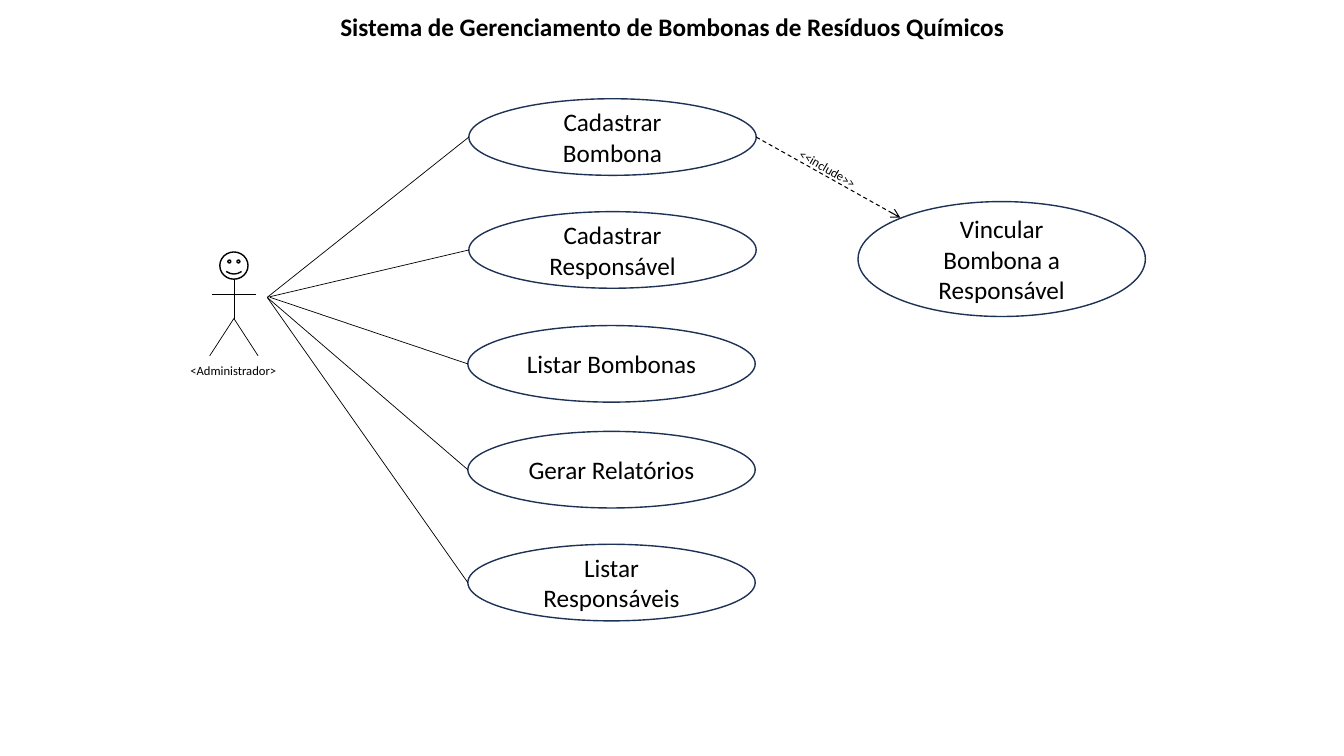
"""Build a use case diagram slide for a chemical waste container system."""
from pptx import Presentation
from pptx.dml.color import RGBColor
from pptx.enum import dml, shapes, text
from pptx.oxml.ns import qn
from pptx.util import Inches, Pt
from lxml import etree

BLACK = RGBColor(0x00, 0x00, 0x00)
WHITE = RGBColor(0xFF, 0xFF, 0xFF)
NAVY = RGBColor(0x1E, 0x32, 0x56)


def add_line(container, start, end, width=0.5):
    connector = container.add_connector(
        shapes.MSO_CONNECTOR.STRAIGHT, *map(Inches, (*start, *end)))
    connector.line.color.rgb = BLACK
    connector.line.width = Pt(width)
    etree.SubElement(connector._element.spPr, qn("a:effectLst"))
    return connector


def write(shape, wording, size, alignment, anchor, bold=False):
    frame = shape.text_frame
    frame.text = wording
    frame.vertical_anchor = anchor
    paragraph = frame.paragraphs[0]
    paragraph.alignment = alignment
    paragraph.font.name = "Calibri"
    paragraph.font.size = Pt(size)
    paragraph.font.bold = bold
    paragraph.font.color.rgb = BLACK


presentation = Presentation()
presentation.slide_width = Inches(13.33)
presentation.slide_height = Inches(7.5)
slide = presentation.slides.add_slide(presentation.slide_layouts[5])

title = slide.shapes.title
title.left, title.top, title.width, title.height = map(Inches, (3.18, 0.06, 6.98, 0.4))
write(title, "Sistema de Gerenciamento de Bombonas de Resíduos Químicos", 18,
      text.PP_ALIGN.CENTER, text.MSO_ANCHOR.TOP, bold=True)
title.text_frame.auto_size = text.MSO_AUTO_SIZE.NONE

actor = slide.shapes.add_group_shape()
neck, hip = (2.32, 2.78), (2.32, 3.16)
for start, end in [(hip, (2.08, 3.53)), (hip, (2.56, 3.53)), (neck, hip),
                   ((2.1, 2.92), (2.54, 2.92))]:
    add_line(actor.shapes, start, end)
head = actor.shapes.add_shape(
    shapes.MSO_SHAPE.SMILEY_FACE, *map(Inches, (2.18, 2.5, 0.28, 0.27)))
head.shadow.inherit = False
head.fill.solid()
head.fill.fore_color.rgb = WHITE
head.line.color.rgb = BLACK
head.line.width = Pt(1)

use_cases = [
    ("Cadastrar Bombona", 4.65, 0.98, 0.76),
    ("Cadastrar Responsável", 4.65, 2.1, 0.76),
    ("Listar Bombonas", 4.64, 3.23, 0.76),
    ("Gerar Relatórios", 4.64, 4.28, 0.76),
    ("Listar Responsáveis", 4.64, 5.4, 0.76),
    ("Vincular Bombona a Responsável", 8.51, 2, 1.14),
]
for wording, left, top, height in use_cases:
    ellipse = slide.shapes.add_shape(
        shapes.MSO_SHAPE.OVAL, *map(Inches, (left, top, 2.85, height)))
    ellipse.shadow.inherit = False
    ellipse.fill.solid()
    ellipse.fill.fore_color.rgb = WHITE
    ellipse.line.color.rgb = NAVY
    ellipse.line.width = Pt(1)
    write(ellipse, wording, 18, text.PP_ALIGN.CENTER, text.MSO_ANCHOR.MIDDLE)

for wording, left, top, height in use_cases[:5]:
    start_x = 2.68 if wording == "Listar Bombonas" else 2.65
    add_line(slide.shapes, (start_x, 2.95), (left, top + height / 2))

include = add_line(slide.shapes, (7.5, 1.36), (8.93, 2.16), 0.75)
include.line.dash_style = dml.MSO_LINE.DASH
etree.SubElement(include.line._get_or_add_ln(), qn("a:tailEnd"), type="arrow")

for wording, box, rotation in [("<<include>>", (7.8, 1.55, 0.83, 0.25), 30.3),
                               ("<Administrador>", (1.79, 3.55, 1.07, 0.25), 0)]:
    label = slide.shapes.add_textbox(*map(Inches, box))
    label.rotation = rotation
    write(label, wording, 9, text.PP_ALIGN.LEFT, text.MSO_ANCHOR.TOP)
    label.text_frame.word_wrap = False
    label.text_frame.auto_size = text.MSO_AUTO_SIZE.SHAPE_TO_FIT_TEXT

presentation.save("out.pptx")
